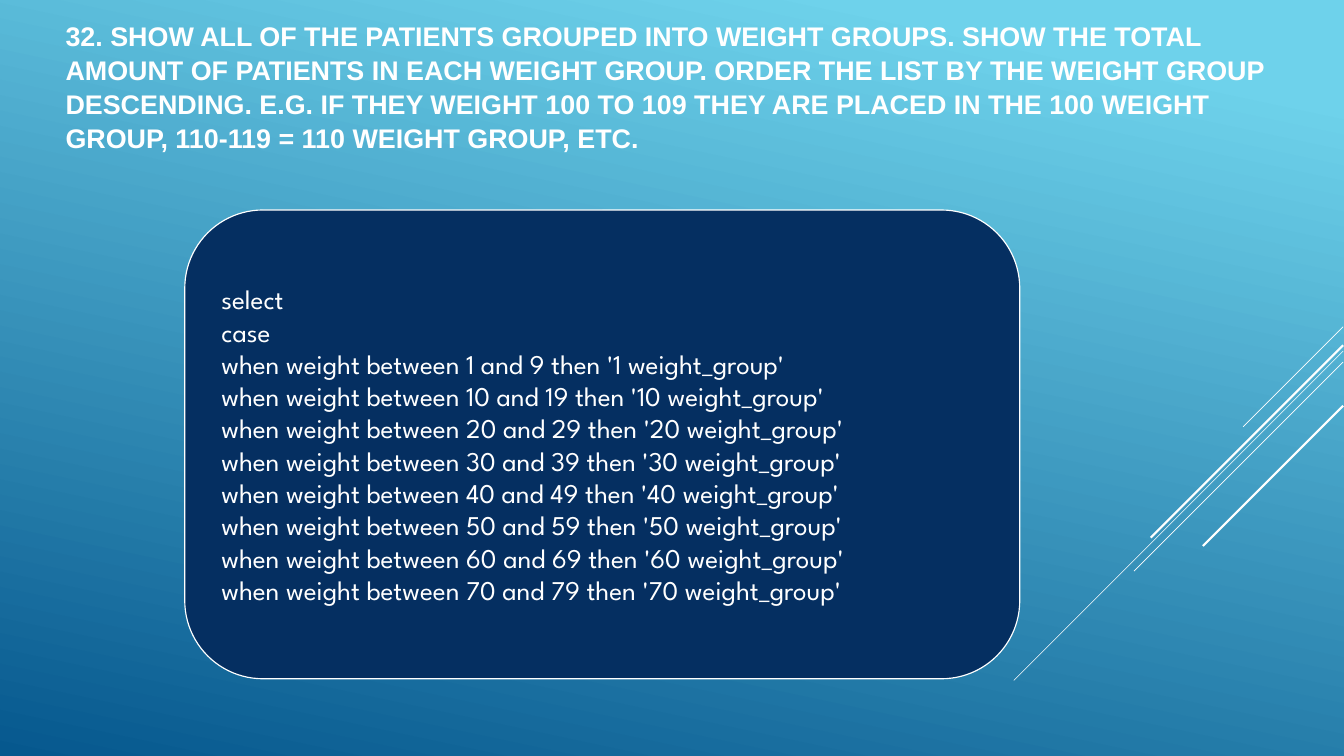
from dataclasses import dataclass

from lxml import etree
from pptx import Presentation
from pptx import util as u
from pptx.dml.color import RGBColor
from pptx.enum import shapes, text
from pptx.oxml.ns import qn


@dataclass(frozen=True)
class Theme:
    """Colours, fonts and type sizes of the slide."""
    sky: RGBColor = RGBColor(0x6E, 0xD2, 0xEB)
    sea: RGBColor = RGBColor(0x06, 0x58, 0x8E)
    navy: RGBColor = RGBColor(0x05, 0x2F, 0x61)
    white: RGBColor = RGBColor(0xFF, 0xFF, 0xFF)
    title_font: str = "Arial"
    code_font: str = "League Spartan"
    title_size: float = 28.8
    code_size: float = 29
    code_leading: float = 34.6


THEME = Theme()
WIDTH, HEIGHT = u.Inches(20), u.Inches(11.25)
COLUMNS, ROWS = 160, 90

TITLE = (
    "32. SHOW ALL OF THE PATIENTS GROUPED INTO WEIGHT GROUPS. SHOW THE TOTAL "
    "AMOUNT OF PATIENTS IN EACH WEIGHT GROUP. ORDER THE LIST BY THE WEIGHT GROUP "
    "DESCENDING. E.G. IF THEY WEIGHT 100 TO 109 THEY ARE PLACED IN THE 100 WEIGHT "
    "GROUP, 110-119 = 110 WEIGHT GROUP, ETC."
)
DIAGONALS = [
    (38.9, 11.9, 0.75),
    (41.8, 39.2, 0.75),
    (43.1, 24.9, 0.75),
    (41.1, 22.9, 2.25),
    (48.3, 16.7, 2.25),
]


def col(n):
    """Return the length of n grid columns."""
    return round(WIDTH * n / COLUMNS)


def row(n):
    """Return the length of n grid rows."""
    return round(HEIGHT * n / ROWS)


def box(left, top, width, height):
    """Turn a grid rectangle into slide lengths."""
    return col(left), row(top), col(width), row(height)


def style_font(p, name, size, bold=False):
    """Set the white font of a paragraph."""
    p.font.name, p.font.size, p.font.bold = name, u.Pt(size), bold
    p.font.color.rgb = THEME.white


def set_background(s):
    """Fill the slide with the blue gradient."""
    fill = s.background.fill
    fill.gradient()
    fill.gradient_angle = 258
    stops = [(0.1, THEME.sky), (1, THEME.sea)]
    for stop, (position, colour) in zip(fill.gradient_stops, stops):
        stop.position = position
        stop.color.rgb = colour


def add_diagonals(s):
    """Draw the slanting lines that run off the right edge."""
    group = s.shapes.add_group_shape()
    right = COLUMNS - 0.1
    for top, run, weight in DIAGONALS:
        line = group.shapes.add_connector(
            shapes.MSO_CONNECTOR.STRAIGHT,
            col(right), row(top), col(right - run), row(top + run))
        line.line.color.rgb = THEME.white
        line.line.width = u.Pt(weight)
        etree.SubElement(line._element.spPr, qn("a:effectLst"))


def set_title(s):
    """Place and format the title."""
    sp = s.shapes.title
    sp.left, sp.top, sp.width, sp.height = box(7, 1.4, 146, 21)
    tf = sp.text_frame
    tf.text = TITLE
    tf.word_wrap = True
    tf.auto_size = text.MSO_AUTO_SIZE.NONE
    tf.vertical_anchor = text.MSO_ANCHOR.BOTTOM
    tf.margin_bottom = row(4.1)
    p = tf.paragraphs[0]
    p.alignment = text.PP_ALIGN.LEFT
    p.line_spacing = 1.05
    style_font(p, THEME.title_font, THEME.title_size, bold=True)


def code_lines():
    """Return the lines of the query."""
    ranges = [(1, 9)] + [(low, low + 9) for low in range(10, 80, 10)]
    return ["select", "case"] + [
        f"when weight between {low} and {high} then '{low} weight_group'"
        for low, high in ranges]


def add_code_panel(s, left, top, width, height, pad=2.75):
    """Draw the rounded panel with the query inside."""
    group = s.shapes.add_group_shape()
    panel = group.shapes.add_shape(
        shapes.MSO_SHAPE.ROUNDED_RECTANGLE, *box(left, top, width, height))
    panel.shadow.inherit = False
    panel.fill.solid()
    panel.fill.fore_color.rgb = THEME.navy
    panel.line.color.rgb = THEME.white
    panel.line.width = u.Pt(1.25)

    code = group.shapes.add_textbox(
        *box(left + pad, top + pad, width - 2 * pad, height - 2 * pad))
    tf = code.text_frame
    tf.word_wrap = True
    tf.vertical_anchor = text.MSO_ANCHOR.MIDDLE
    tf.margin_top = tf.margin_right = tf.margin_bottom = col(1)
    tf.margin_left = col(1.6)
    p = tf.paragraphs[0]
    p.text = "\v".join(code_lines())
    p.line_spacing = u.Pt(THEME.code_leading)
    style_font(p, THEME.code_font, THEME.code_size)


def main():
    """Build and save the slide."""
    prs = Presentation()
    prs.slide_width, prs.slide_height = WIDTH, HEIGHT
    s = prs.slides.add_slide(prs.slide_layouts[5])
    set_background(s)
    add_diagonals(s)
    set_title(s)
    add_code_panel(s, 22, 25, 99.4, 55.8)
    prs.save("out.pptx")


if __name__ == "__main__":
    main()
